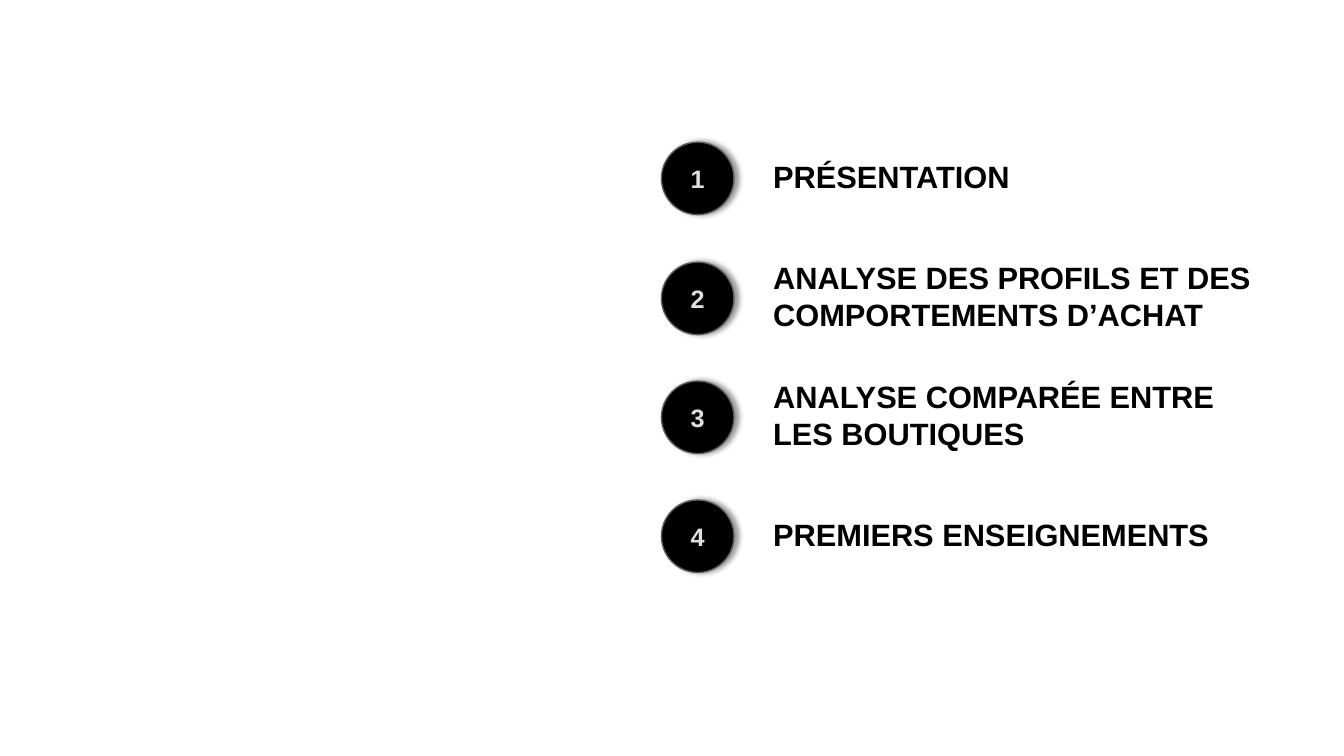
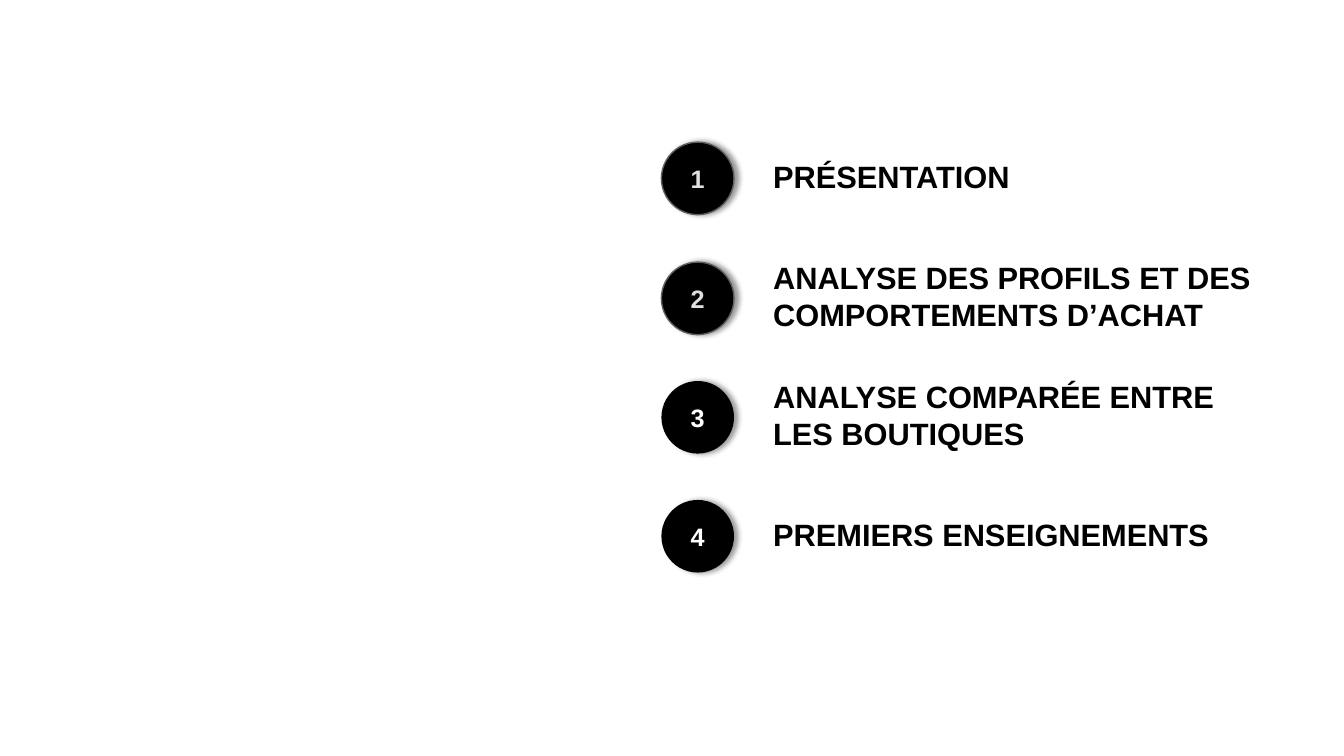
import math
from dataclasses import dataclass

from lxml import etree
from pptx import Presentation
from pptx import util as u
from pptx.dml.color import RGBColor
from pptx.enum import shapes, text
from pptx.oxml.ns import qn

# Scale and shared style
EMU_PER_PX = 9144
FONT = "Arial"
BLACK, WHITE = "000000", "FFFFFF"
MUTED_TEXT, MUTED_LINE = "DFDFDF", "5F5F5F"

# Agenda grid, in px
BADGE_LEFT, FIRST_TOP, BADGE_SIZE = 656, 141, 72
ROW_PITCH = 355 / 3
LABEL_LEFT, LABEL_RISE = 757, 2
LABEL_HEIGHTS = {1: 47, 2: 84}


@dataclass(frozen=True)
class Entry:
    title: str
    width: int
    lines: int = 1


AGENDA = [
    Entry("PRÉSENTATION", 438),
    Entry("ANALYSE DES PROFILS ET DES COMPORTEMENTS D’ACHAT", 556, 2),
    Entry("ANALYSE COMPARÉE ENTRE LES BOUTIQUES", 512, 2),
    Entry("PREMIERS ENSEIGNEMENTS", 512),
]

# Numbers highlighted on each slide
HIGHLIGHTS = [set(), {3, 4}]


def px(length: int) -> u.Emu:
    return u.Emu(length * EMU_PER_PX)


def color(value: str) -> RGBColor:
    return RGBColor.from_string(value)


def write(shape, content: str, size: int, shade: str, align) -> None:
    para = shape.text_frame.paragraphs[0]
    para.text = content
    para.alignment = align
    para.font.name = FONT
    para.font.size = u.Pt(size)
    para.font.bold = True
    para.font.color.rgb = color(shade)


def add_shadow(shape) -> None:
    shape.shadow.inherit = False
    effects = shape._element.spPr.find(qn("a:effectLst"))
    shadow = etree.SubElement(
        effects, qn("a:outerShdw"), blurRad=str(u.Pt(4)), dist=str(u.Pt(3)),
        dir="0", algn="l", rotWithShape="0")
    shade = etree.SubElement(shadow, qn("a:srgbClr"), val=BLACK)
    etree.SubElement(shade, qn("a:alpha"), val="40000")


def add_badge(page, number: int, top: int, highlighted: bool) -> None:
    badge = page.shapes.add_shape(
        shapes.MSO_SHAPE.OVAL, px(BADGE_LEFT), px(top), px(BADGE_SIZE), px(BADGE_SIZE))
    badge.fill.solid()
    badge.fill.fore_color.rgb = color(BLACK)
    if highlighted:
        badge.line.fill.background()
    else:
        badge.line.color.rgb = color(MUTED_LINE)
        badge.line.width = u.Pt(1)
    add_shadow(badge)
    badge.text_frame.vertical_anchor = text.MSO_ANCHOR.MIDDLE
    write(badge, str(number), 18, WHITE if highlighted else MUTED_TEXT,
          text.PP_ALIGN.CENTER)


def add_label(page, entry: Entry, centre: int) -> None:
    height = LABEL_HEIGHTS[entry.lines]
    top = centre - LABEL_RISE - height // 2
    label = page.shapes.add_textbox(px(LABEL_LEFT), px(top), px(entry.width), px(height))
    label.text_frame.word_wrap = True
    label.text_frame.auto_size = text.MSO_AUTO_SIZE.SHAPE_TO_FIT_TEXT
    write(label, entry.title, 22, BLACK, text.PP_ALIGN.LEFT)


def add_agenda(deck, highlighted: set[int]) -> None:
    page = deck.slides.add_slide(deck.slide_layouts[6])
    for row, entry in enumerate(AGENDA):
        top = FIRST_TOP + math.ceil(row * ROW_PITCH)
        add_badge(page, row + 1, top, row + 1 in highlighted)
        add_label(page, entry, top + BADGE_SIZE // 2)


def main() -> None:
    deck = Presentation()
    deck.slide_width, deck.slide_height = px(1333), px(750)
    for highlighted in HIGHLIGHTS:
        add_agenda(deck, highlighted)
    deck.save("out.pptx")


if __name__ == "__main__":
    main()
